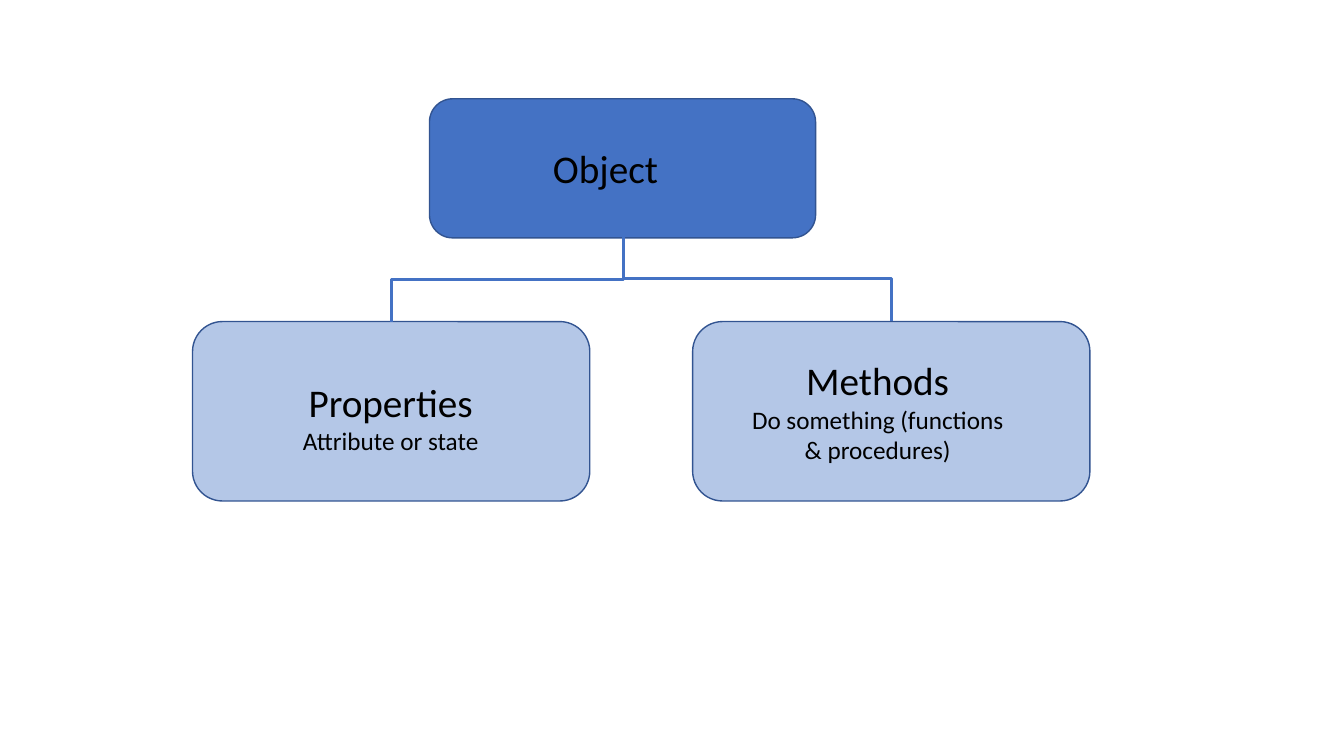
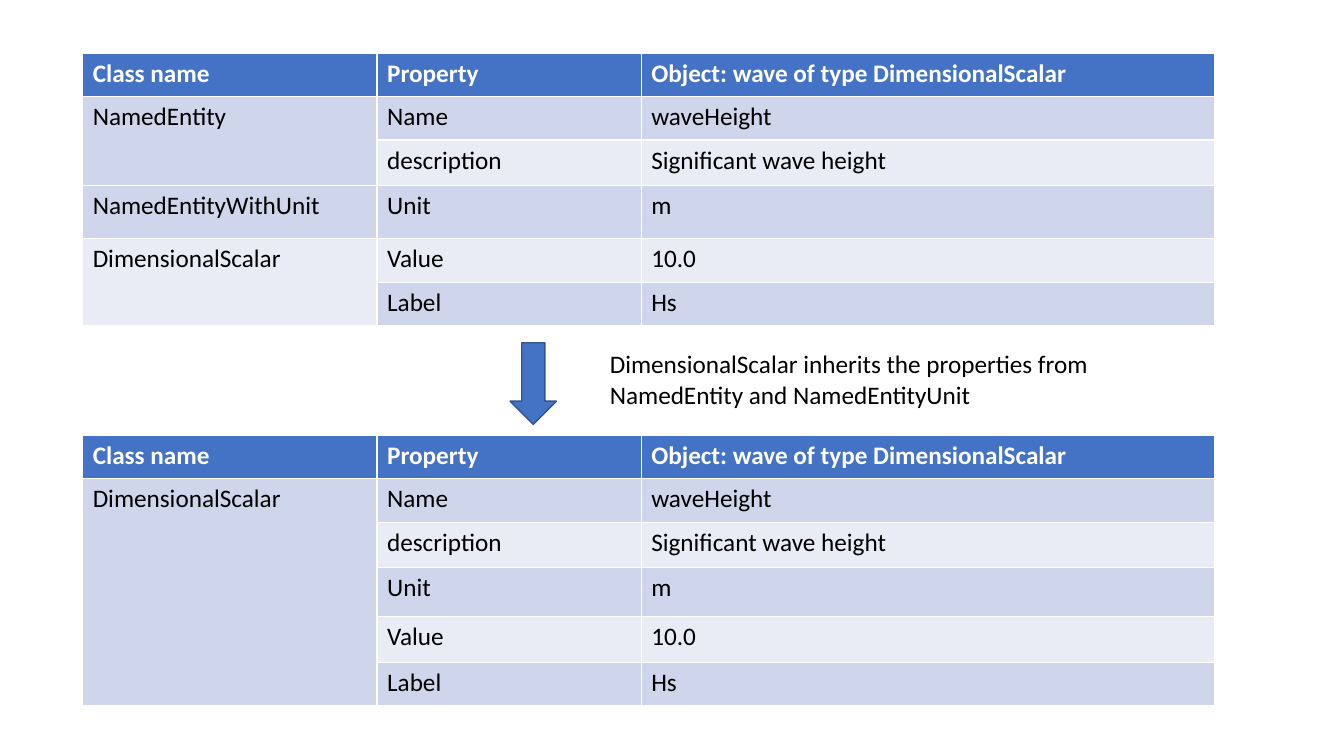
from dataclasses import dataclass

from lxml.etree import SubElement
from pptx import Presentation
from pptx.dml.color import RGBColor
from pptx.enum.shapes import MSO_CONNECTOR, MSO_SHAPE
from pptx.enum.text import MSO_AUTO_SIZE, PP_ALIGN
from pptx.oxml.ns import qn
from pptx.util import Inches, Pt


@dataclass(frozen=True)
class Theme:
    font: str = "Calibri"
    heading_size: int = 28
    body_size: int = 18
    outline_width: float = 1
    connector_width: float = 2.25
    blue: str = "4472C4"
    pale_blue: str = "B4C7E7"
    outline: str = "325491"
    dark_band: str = "CFD5EA"
    light_band: str = "E9EBF5"
    black: str = "000000"
    white: str = "FFFFFF"


THEME = Theme()

# Class tables
COLUMN_WIDTHS = (2.92, 2.62, 5.69)
HEADERS = ("Class name", "Property", "Object: wave of type DimensionalScalar")
PROPERTIES = (
    ("Name", "waveHeight"),
    ("description", "Significant wave height"),
    ("Unit", "m"),
    ("Value", "10.0"),
    ("Label", "Hs"),
)


def rgb(color):
    return RGBColor.from_string(color)


def format_runs(paragraph, size, color=THEME.black, bold=False):
    for run in paragraph.runs:
        run.font.name = THEME.font
        run.font.size = Pt(size)
        run.font.bold = bold
        run.font.color.rgb = rgb(color)


def add_filled_shape(slide, preset, left, top, width, height, fill):
    shape = slide.shapes.add_shape(
        preset, Inches(left), Inches(top), Inches(width), Inches(height))
    shape.shadow.inherit = False
    shape.fill.solid()
    shape.fill.fore_color.rgb = rgb(fill)
    shape.line.color.rgb = rgb(THEME.outline)
    shape.line.width = Pt(THEME.outline_width)


def add_text(slide, left, top, width, height, lines, align=PP_ALIGN.LEFT):
    """Each line is a pair of wording and type size."""
    box = slide.shapes.add_textbox(
        Inches(left), Inches(top), Inches(width), Inches(height))
    frame = box.text_frame
    frame.word_wrap = True
    frame.auto_size = MSO_AUTO_SIZE.SHAPE_TO_FIT_TEXT
    frame.text = "\n".join(wording for wording, _ in lines)
    for paragraph, (_, size) in zip(frame.paragraphs, lines):
        paragraph.alignment = align
        format_runs(paragraph, size)


def add_branch(slide, start, end, preset="bentConnector3", rotation=0):
    branch = slide.shapes.add_connector(
        MSO_CONNECTOR.ELBOW, *(Inches(value) for value in start + end))
    branch.line.color.rgb = rgb(THEME.blue)
    branch.line.width = Pt(THEME.connector_width)
    properties = branch._element.spPr
    properties.find(qn("a:prstGeom")).set("prst", preset)
    if rotation:
        properties.find(qn("a:xfrm")).set("rot", str(rotation * 60000))
    SubElement(properties, qn("a:effectLst"))


def add_class_table(slide, top, row_heights, classes):
    """Classes are pairs of a name and the number of its properties."""
    table = slide.shapes.add_table(
        len(row_heights), len(COLUMN_WIDTHS), Inches(0.82), Inches(top),
        Inches(sum(COLUMN_WIDTHS)), Inches(sum(row_heights))).table
    for column, width in zip(table.columns, COLUMN_WIDTHS):
        column.width = Inches(width)

    class_names = []
    for name, count in classes:
        class_names += [name] + [""] * (count - 1)
    rows = [HEADERS] + [
        (name, *values) for name, values in zip(class_names, PROPERTIES)]

    for row_index, (values, height) in enumerate(zip(rows, row_heights)):
        table.rows[row_index].height = Inches(height)
        is_header = row_index == 0
        band = THEME.dark_band if row_index % 2 else THEME.light_band
        for column_index, value in enumerate(values):
            cell = table.cell(row_index, column_index)
            cell.fill.solid()
            cell.fill.fore_color.rgb = rgb(THEME.blue if is_header else band)
            cell.text_frame.text = value
            format_runs(cell.text_frame.paragraphs[0], THEME.body_size,
                        THEME.white if is_header else THEME.black, is_header)

    # One merged cell for each class
    first_row = 1
    for _, count in classes:
        if count > 1:
            table.cell(first_row, 0).merge(
                table.cell(first_row + count - 1, 0))
        first_row += count


def build_object_slide(slide):
    # Boxes
    for left in (6.87, 1.91):
        add_filled_shape(slide, MSO_SHAPE.ROUNDED_RECTANGLE,
                         left, 3.19, 3.94, 1.78, THEME.pale_blue)
    add_filled_shape(slide, MSO_SHAPE.ROUNDED_RECTANGLE,
                     4.26, 0.98, 3.83, 1.38, THEME.blue)

    # Labels
    labels = (
        (4.58, 1.38, 0.57, "Object", None),
        (2.45, 3.7, 0.88, "Properties", "Attribute or state"),
        (7.28, 3.49, 1.18, "Methods", "Do something (functions & procedures)"),
    )
    for left, top, height, heading, detail in labels:
        lines = [(heading, THEME.heading_size)]
        if detail:
            lines.append((detail, THEME.body_size))
        add_text(slide, left, top, 2.85, height, lines, PP_ALIGN.CENTER)

    # Branches from the object to its parts
    add_branch(slide, (4.61, 1.62), (5.45, 3.92), rotation=90)
    add_branch(slide, (6.18, 2.76), (8.84, 3.19), preset="bentConnector2")


def build_inheritance_slide(slide):
    add_class_table(
        slide, 0.53, (0.43, 0.43, 0.45, 0.53, 0.43, 0.43),
        (("NamedEntity", 2), ("NamedEntityWithUnit", 1),
         ("DimensionalScalar", 2)))
    add_class_table(
        slide, 4.32, (0.43, 0.43, 0.45, 0.49, 0.45, 0.43),
        (("DimensionalScalar", 5),))

    # Step between the tables
    add_filled_shape(slide, MSO_SHAPE.DOWN_ARROW,
                     5.06, 3.4, 0.46, 0.81, THEME.blue)
    add_text(slide, 5.95, 3.41, 5.89, 1.01, [(
        "DimensionalScalar inherits the properties from "
        "NamedEntity and NamedEntityUnit", THEME.body_size)])


def main():
    presentation = Presentation()
    presentation.slide_width = Inches(13.33)
    presentation.slide_height = Inches(7.5)
    blank = presentation.slide_layouts[6]
    for build in (build_object_slide, build_inheritance_slide):
        build(presentation.slides.add_slide(blank))
    presentation.save("out.pptx")


main()
